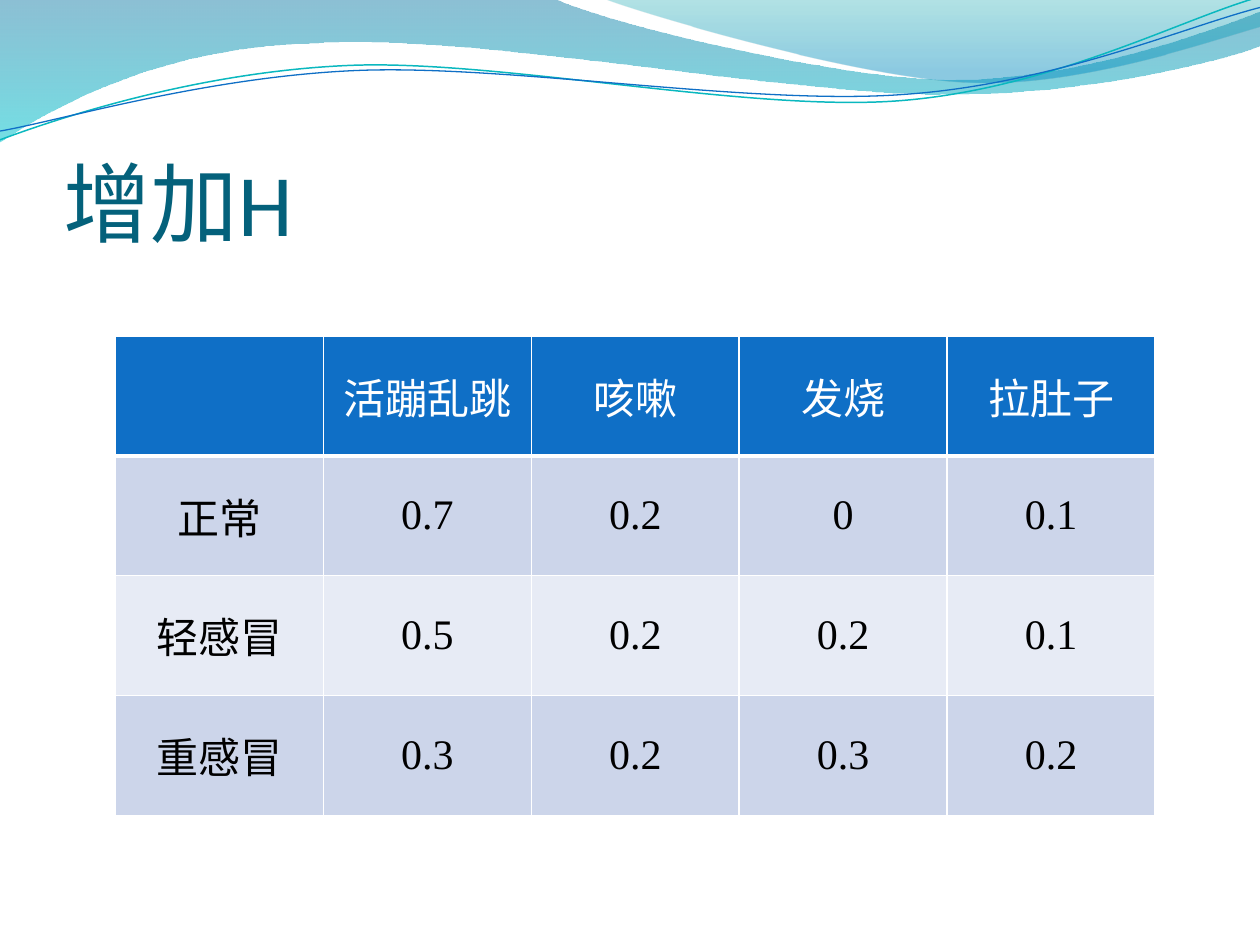
import math

from lxml import etree
from pptx import Presentation
from pptx import util as u
from pptx.dml.color import RGBColor
from pptx.enum import text
from pptx.oxml import ns

Pt = u.Pt


def colour(code):
    return RGBColor.from_string(code)


def turn(point, centre, degrees):
    angle = math.radians(degrees)
    x, y = point[0] - centre[0], point[1] - centre[1]
    return (centre[0] + x * math.cos(angle) - y * math.sin(angle),
            centre[1] + x * math.sin(angle) + y * math.cos(angle))


class SlideBuilder:
    title_font, title_colour = "Calibri", "04617B"
    table_font, table_size = "Times New Roman", 24
    header_fill, band_fills = "0F6FC6", ("CCD5EA", "E7EBF5")
    rule_colour = "FFFFFF"

    def __init__(self, deck):
        self.page = deck.slides.add_slide(deck.slide_layouts[5])

    def outline(self, start, segments, close):
        """A segment of one point is a line; one of three points is a curve."""
        corners = [(Pt(x), Pt(y)) for segment in segments for x, y in segment]
        builder = self.page.shapes.build_freeform(Pt(start[0]), Pt(start[1]))
        builder.add_line_segments(corners, close=close)
        shape = builder.convert_to_shape()
        shape.shadow.inherit = False
        lines = iter(list(shape._element.iter(ns.qn("a:lnTo"))))
        for segment in segments:
            parts = [next(lines) for _ in segment]
            if len(parts) == 3:
                bend = etree.Element(ns.qn("a:cubicBezTo"))
                parts[0].addprevious(bend)
                for part in parts:
                    bend.append(part[0])
                    part.getparent().remove(part)
        return shape

    def wave(self, start, segments, stops):
        """Fill downwards with two stops of (position, colour, opacity %)."""
        shape = self.outline(start, segments, close=True)
        shape.line.fill.background()
        shape.fill.gradient()
        shape.fill.gradient_angle = 270
        for stop, (position, code, _) in zip(shape.fill.gradient_stops, stops):
            stop.position = position
            stop.color.rgb = colour(code)
        for node, (_, _, opacity) in zip(shape._element.iter(ns.qn("a:srgbClr")), stops):
            etree.SubElement(node, ns.qn("a:alpha"), val=str(opacity * 1000))

    def strand(self, start, segments, centre, code, width, tilt=2.7):
        """Level the curve about its centre, then tilt the whole shape back."""
        level = [[turn(point, centre, tilt) for point in segment] for segment in segments]
        shape = self.outline(turn(start, centre, tilt), level, close=False)
        shape.rotation = 360 - tilt
        shape.fill.background()
        shape.line.color.rgb = colour(code)
        shape.line.width = Pt(width)

    def title(self, words, left, top, width, height):
        box = self.page.shapes.title
        self.page.shapes._spTree.append(box._element)  # in front of the waves
        box.left, box.top, box.width, box.height = map(Pt, (left, top, width, height))
        frame = box.text_frame
        frame.text = words
        frame.vertical_anchor = text.MSO_ANCHOR.BOTTOM
        frame.margin_left = frame.margin_right = frame.margin_bottom = 0
        frame.margin_top = Pt(3.6)
        para = frame.paragraphs[0]
        para.alignment = text.PP_ALIGN.LEFT
        para.font.name, para.font.size = self.title_font, Pt(50)
        para.font.color.rgb = colour(self.title_colour)

    def border(self, cell, side, width):
        line = etree.SubElement(cell._tc.get_or_add_tcPr(), ns.qn("a:ln" + side),
                                w=str(Pt(width)))
        fill = etree.SubElement(line, ns.qn("a:solidFill"))
        etree.SubElement(fill, ns.qn("a:srgbClr"), val=self.rule_colour)

    def table(self, rows, left, top, width, height):
        frame = self.page.shapes.add_table(
            len(rows), len(rows[0]), *map(Pt, (left, top, width, height)))
        for r, values in enumerate(rows):
            for c, value in enumerate(values):
                cell = frame.table.cell(r, c)
                for side in "LRTB":
                    self.border(cell, side, 3 if (r, side) == (0, "B") else 1)
                cell.fill.solid()
                cell.fill.fore_color.rgb = colour(
                    self.band_fills[(r - 1) % 2] if r else self.header_fill)
                cell.vertical_anchor = text.MSO_ANCHOR.MIDDLE
                if not value:
                    continue
                cell.text = value
                para = cell.text_frame.paragraphs[0]
                para.alignment = text.PP_ALIGN.CENTER
                para.font.name, para.font.size = self.table_font, Pt(self.table_size)
                para.font.bold = False
                para.font.color.rgb = colour("000000" if r else "FFFFFF")


def main():
    deck = Presentation()
    deck.slide_width, deck.slide_height = Pt(720), Pt(540)
    slide = SlideBuilder(deck)

    # Waves along the top edge
    slide.wave((0, 0), [
        [(316.8, -0.7)],
        [(342.7, 12.2), (478, 45.4), (545.8, 45.4)],
        [(614.2, 45.4), (689.8, 18.7), (720, 6.5)],
        [(720.7, 25.9)],
        [(707.8, 31.7), (626.4, 54.7), (537, 54)],
        [(447.8, 54), (275, 20.2), (185, 24.5)],
        [(92.9, 25.9), (33.1, 59.8), (-0.7, 81.4)],
    ], [(0, "0074A1", 45), (1, "00C6CF", 55)])
    slide.wave((344.9, -0.7), [
        [(366.5, 7.9), (491, 44.6), (553.7, 46.8)],
        [(616.3, 49.7), (692, 23), (720, 15.1)],
        [(720, 0)],
    ], [(0, "00A1A9", 30), (0.8, "008BBF", 45)])

    # Thin strands over the waves
    slide.strand((0, 79.9), [
        [(34.6, 67), (113.8, 41), (199.4, 37.4)],
        [(284.4, 33.8), (427, 64.1), (513.4, 57.6)],
        [(599.8, 51.1), (675.4, 10.8), (718.6, -1.4)],
    ], (359.3, 41.4), "0AB8BF", 0.85)
    slide.strand((0, 74.9), [
        [(33.8, 69.1), (118, 43.9), (203.8, 40.3)],
        [(290.2, 36.7), (429.8, 60.5), (516.2, 54)],
        [(602, 48.2), (677.5, 15.1), (720, 4.3)],
    ], (359.6, 42.5), "0F6FC6", 0.75)

    slide.title("增加H", 36, 55.4, 648, 90)

    # Share of each symptom by state of health
    slide.table([
        ("", "活蹦乱跳", "咳嗽", "发烧", "拉肚子"),
        ("正常", "0.7", "0.2", "0", "0.1"),
        ("轻感冒", "0.5", "0.2", "0.2", "0.1"),
        ("重感冒", "0.3", "0.2", "0.3", "0.2"),
    ], 66, 192, 594, 274)

    deck.save("out.pptx")


if __name__ == "__main__":
    main()
